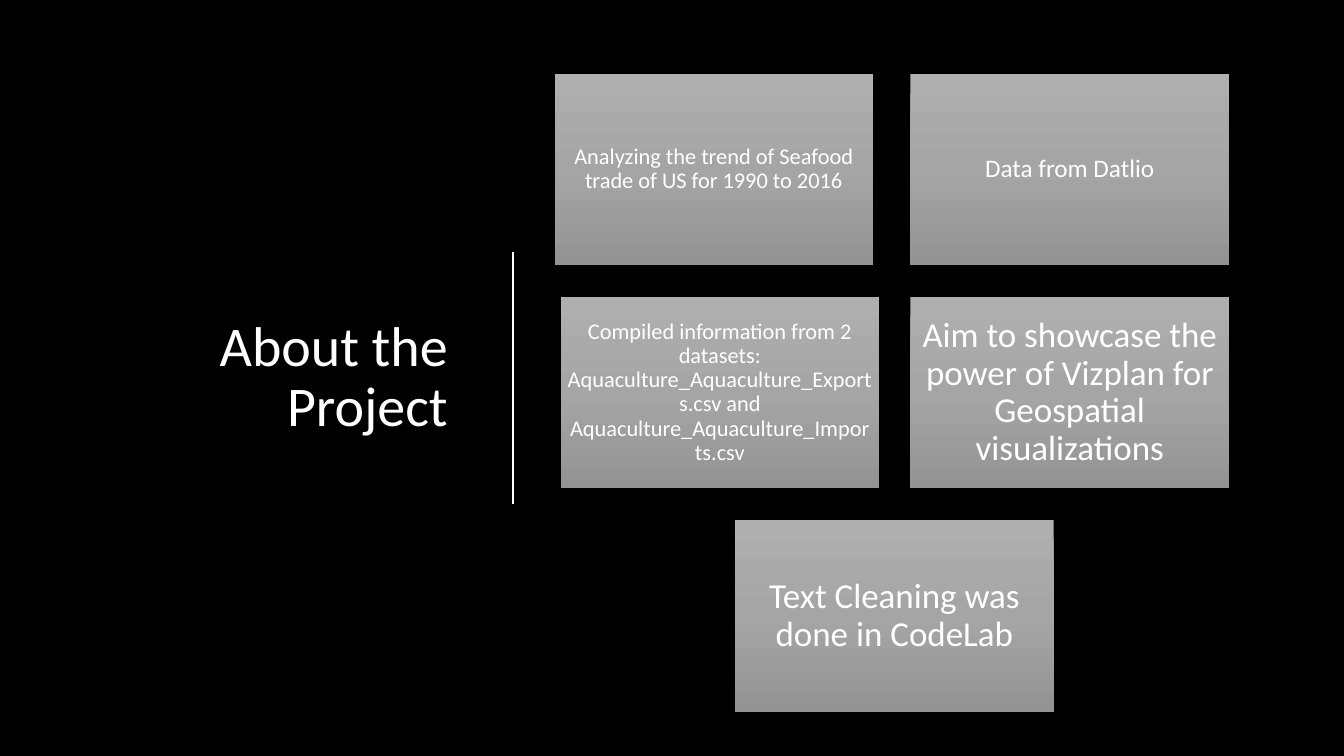
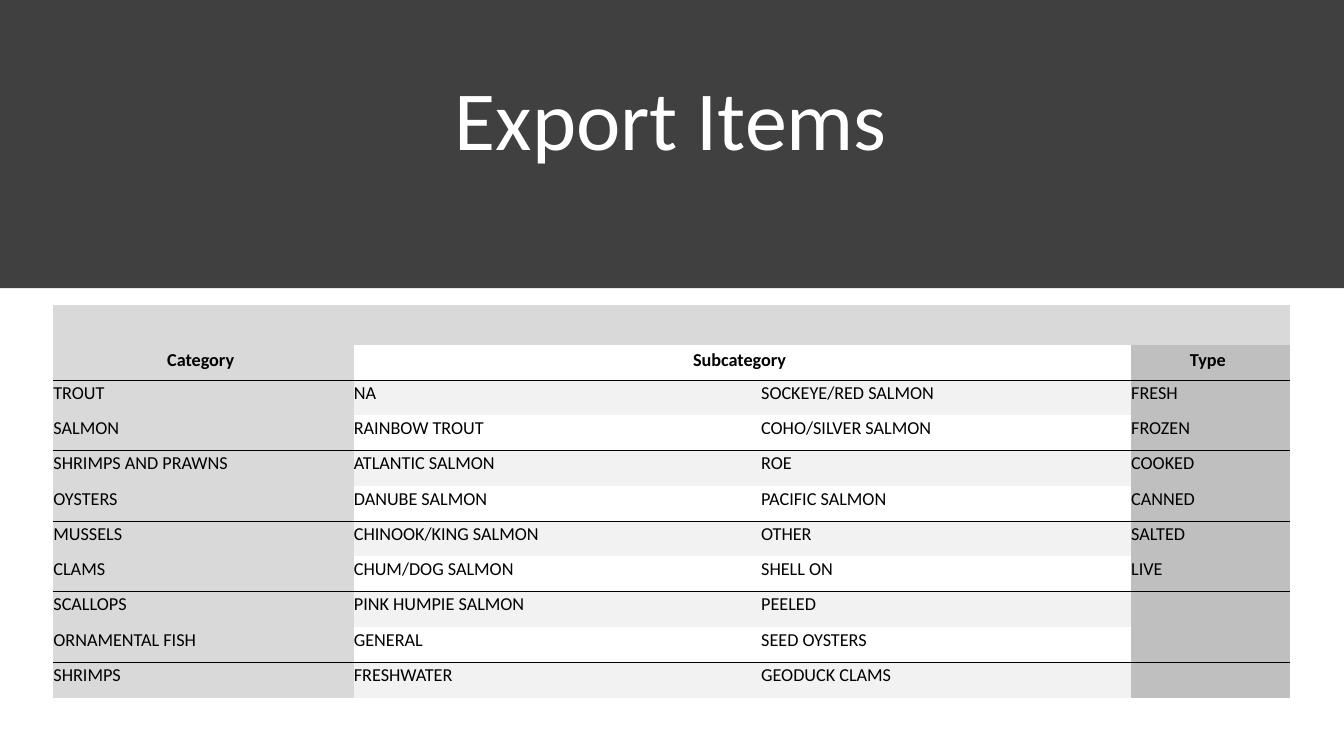
from copy import deepcopy
from dataclasses import dataclass

from lxml.etree import SubElement
from pptx import Presentation
from pptx.dml.color import RGBColor
from pptx.enum.shapes import MSO_CONNECTOR, MSO_SHAPE
from pptx.enum.text import MSO_ANCHOR, MSO_AUTO_SIZE, PP_ALIGN
from pptx.oxml.ns import qn
from pptx.util import Inches, Pt

FONT = "Calibri"
BLACK = RGBColor(0x00, 0x00, 0x00)
WHITE = RGBColor(0xFF, 0xFF, 0xFF)
BAND = RGBColor(0x40, 0x40, 0x40)
STRIPE = RGBColor(0xF2, 0xF2, 0xF2)
CATEGORY = RGBColor(0xD9, 0xD9, 0xD9)
TYPE = RGBColor(0xBF, 0xBF, 0xBF)
CARD_STOPS = [
    (0, RGBColor(0xAF, 0xAF, 0xAF)),
    (0.5, RGBColor(0xA5, 0xA5, 0xA5)),
    (1, RGBColor(0x93, 0x93, 0x93)),
]
NO_STYLE_NO_GRID = "{2D5ABB26-0587-4C30-8999-92F81FD0307C}"

CARD_W, CARD_H = 3.16, 1.9
CARD_TOP, CARD_PITCH = 0.73, 2.215


@dataclass
class Card:
    text: str
    left: float
    row: int
    size: int
    inset: float = 0.07


CARDS = [
    Card("Analyzing the trend of Seafood trade of US for 1990 to 2016", 5.5, 0, 16),
    Card("Data from Datlio", 9.03, 0, 18),
    Card("Compiled information from 2 datasets: Aquaculture_Aquaculture_Exports.csv "
         "and Aquaculture_Aquaculture_Imports.csv", 5.56, 1, 16),
    Card("Aim to showcase the power of Vizplan for Geospatial visualizations",
         9.03, 1, 25, 0.1),
    Card("Text Cleaning was done in CodeLab", 7.29, 2, 25, 0.1),
]

COL_WIDTHS = [2.98, 4.04, 3.67, 1.58]
ROWS = [
    ("", "", "", ""),
    ("Category", "Subcategory", "", "Type"),
    ("TROUT", "NA", "SOCKEYE/RED SALMON", "FRESH"),
    ("SALMON", "RAINBOW TROUT", "COHO/SILVER SALMON", "FROZEN"),
    ("SHRIMPS AND PRAWNS", "ATLANTIC SALMON", "ROE", "COOKED"),
    ("OYSTERS", "DANUBE SALMON", "PACIFIC SALMON", "CANNED"),
    ("MUSSELS", "CHINOOK/KING SALMON", "OTHER", "SALTED"),
    ("CLAMS", "CHUM/DOG SALMON", "SHELL ON", "LIVE"),
    ("SCALLOPS", "PINK HUMPIE SALMON", "PEELED", ""),
    ("ORNAMENTAL FISH", "GENERAL", "SEED OYSTERS", ""),
    ("SHRIMPS", "FRESHWATER", "GEODUCK CLAMS", ""),
]


def write(tf, text: str, *, size: float, color=WHITE, bold=False,
          align=PP_ALIGN.CENTER, spacing=0.9) -> None:
    p = tf.paragraphs[0]
    p.alignment = align
    p.line_spacing = spacing
    r = p.add_run()
    r.text = text
    r.font.name = FONT
    r.font.size = Pt(size)
    r.font.bold = bold
    r.font.color.rgb = color


def add_slide(prs, background: RGBColor):
    s = prs.slides.add_slide(prs.slide_layouts[5])
    s.background.fill.solid()
    s.background.fill.fore_color.rgb = background
    return s


def set_title(s, text: str, box: tuple, size: float, align, anchor) -> None:
    title = s.shapes.title
    title.left, title.top, title.width, title.height = map(Inches, box)
    tf = title.text_frame
    tf.word_wrap = True
    tf.auto_size = MSO_AUTO_SIZE.NONE
    tf.vertical_anchor = anchor
    write(tf, text, size=size, align=align)


def add_rect(s, left: float, top: float, width: float, height: float):
    sp = s.shapes.add_shape(MSO_SHAPE.RECTANGLE, *map(Inches, (left, top, width, height)))
    sp.shadow.inherit = False
    sp.line.fill.background()
    return sp


def add_card(s, card: Card) -> None:
    sp = add_rect(s, card.left, CARD_TOP + card.row * CARD_PITCH, CARD_W, CARD_H)
    # Three-stop gradient running downwards
    sp.fill.gradient()
    sp.fill.gradient_angle = 270
    stops = sp._element.spPr.find(".//" + qn("a:gsLst"))
    stops.append(deepcopy(stops[0]))
    for stop, (position, color) in zip(sp.fill.gradient_stops, CARD_STOPS):
        stop.position = position
        stop.color.rgb = color
    tf = sp.text_frame
    tf.word_wrap = True
    tf.vertical_anchor = MSO_ANCHOR.MIDDLE
    inset = Inches(card.inset)
    tf.margin_left = tf.margin_right = tf.margin_top = tf.margin_bottom = inset
    write(tf, card.text, size=card.size)


def add_bottom_border(cell) -> None:
    tc_pr = cell._tc.get_or_add_tcPr()
    line = SubElement(tc_pr, qn("a:lnB"), w=str(Pt(0.75)))
    fill = SubElement(line, qn("a:solidFill"))
    SubElement(fill, qn("a:srgbClr"), val=str(BLACK))
    tc_pr.insert(0, line)


def cell_color(row: int, col: int) -> RGBColor:
    if row == 0 or col == 0:
        return CATEGORY
    if col == 3:
        return TYPE
    return WHITE if row % 2 else STRIPE


def format_cell(cell, text: str, row: int, col: int) -> None:
    cell.fill.solid()
    cell.fill.fore_color.rgb = cell_color(row, col)
    cell.margin_left = 0
    cell.margin_right = cell.margin_bottom = Inches(0.06 if text else 0)
    cell.margin_top = Inches(0.02 if text else 0)
    if row % 2:
        add_bottom_border(cell)
    if text:
        header = row == 1
        cell.vertical_anchor = MSO_ANCHOR.MIDDLE if header else MSO_ANCHOR.TOP
        write(cell.text_frame, text, size=13, color=BLACK, bold=header, spacing=1,
              align=PP_ALIGN.CENTER if header else PP_ALIGN.LEFT)


def add_items_table(s) -> None:
    table = s.shapes.add_table(len(ROWS), len(COL_WIDTHS), Inches(0.53), Inches(3.03),
                               Inches(sum(COL_WIDTHS)), Inches(3.88)).table
    table.first_row = table.horz_banding = False
    table._tbl.tblPr.find(qn("a:tableStyleId")).text = NO_STYLE_NO_GRID
    for col, width in enumerate(COL_WIDTHS):
        table.columns[col].width = Inches(width)
    for row, texts in enumerate(ROWS):
        table.rows[row].height = Inches(0.35 if row else 0.39)
        for col, text in enumerate(texts):
            format_cell(table.cell(row, col), text, row, col)
    table.cell(0, 0).merge(table.cell(0, 3))
    table.cell(1, 1).merge(table.cell(1, 2))


def build_about(prs) -> None:
    s = add_slide(prs, BLACK)
    set_title(s, "About the Project", (0.92, 1.17, 3.62, 5.17), 40,
              PP_ALIGN.RIGHT, MSO_ANCHOR.MIDDLE)
    # Divider between title and cards
    divider = s.shapes.add_connector(MSO_CONNECTOR.STRAIGHT, Inches(5.09), Inches(2.5),
                                     Inches(5.09), Inches(5))
    divider.line.color.rgb = WHITE
    divider.line.width = Pt(1.25)
    SubElement(divider._element.spPr, qn("a:effectLst"))
    for card in CARDS:
        add_card(s, card)


def build_exports(prs) -> None:
    s = add_slide(prs, WHITE)
    # Header band, sent behind the title
    band = add_rect(s, 0, 0, 13.33, 2.86)
    band.fill.solid()
    band.fill.fore_color.rgb = BAND
    s.shapes.title._element.addprevious(band._element)
    set_title(s, "Export Items", (0.77, 0.4, 11.77, 1.32), 60,
              PP_ALIGN.CENTER, MSO_ANCHOR.BOTTOM)
    add_items_table(s)


def main() -> None:
    prs = Presentation()
    prs.slide_width, prs.slide_height = Inches(13.33), Inches(7.5)
    build_about(prs)
    build_exports(prs)
    prs.save("out.pptx")


if __name__ == "__main__":
    main()
